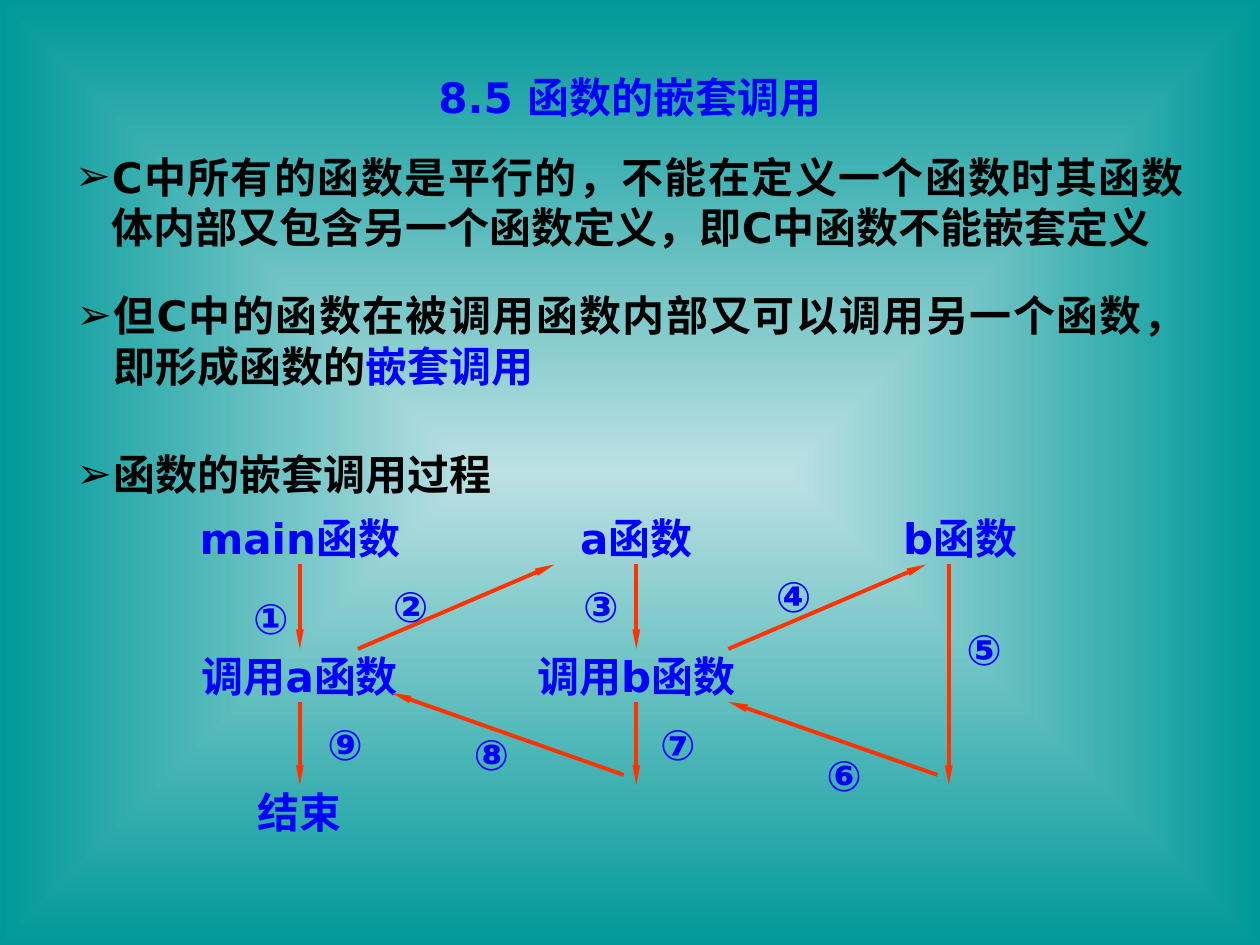
from dataclasses import dataclass

from lxml.etree import SubElement
from pptx import Presentation
from pptx.dml.color import RGBColor
from pptx.enum.shapes import MSO_CONNECTOR
from pptx.enum.text import MSO_ANCHOR, PP_ALIGN
from pptx.oxml.ns import qn
from pptx.util import Inches, Pt


@dataclass(frozen=True)
class Theme:
    font: str = "DejaVu Sans"
    size: int = 24
    line_width: float = 2.25
    ink: RGBColor = RGBColor(0x00, 0x00, 0x00)
    accent: RGBColor = RGBColor(0x00, 0x00, 0xFF)
    arrow: RGBColor = RGBColor(0xFF, 0x33, 0x00)
    center: RGBColor = RGBColor(0xBB, 0xE0, 0xE3)
    edge: RGBColor = RGBColor(0x00, 0x99, 0x99)


THEME = Theme()
TITLE = "8.5 函数的嵌套调用"

# (left, top, height, [(text, colour), ...])
BULLETS = [
    (0.5, 1.15, 0.9, [("C中所有的函数是平行的，不能在定义一个函数时其函数体内部又包含"
                       "另一个函数定义，即C中函数不能嵌套定义", THEME.ink)]),
    (0.51, 2.25, 0.9, [("但C中的函数在被调用函数内部又可以调用另一个函数，即形成函数的", THEME.ink),
                       ("嵌套调用", THEME.accent)]),
    (0.51, 3.51, 0.5, [("函数的嵌套调用过程", THEME.ink)]),
]
INDENT = 0.29

# Diagram grid: label centres by column, label tops by row
MAIN, A, B = 2.38, 5.05, 7.62
B_LINE = 7.53
LABEL_WIDTH, LABEL_HEIGHT = 2.2, 0.42
ROW_TOPS = [4.06, 5.15, 6.23]
ROW_BOTTOMS = [top + LABEL_HEIGHT for top in ROW_TOPS]
RETURN_START = ROW_TOPS[2] - 0.08

# (column centre, row, text)
LABELS = [
    (MAIN, 0, "main函数"), (A, 0, "a函数"), (B, 0, "b函数"),
    (MAIN, 1, "调用a函数"), (A, 1, "调用b函数"),
    (MAIN, 2, "结束"),
]

# In calling order: (start, end, number, number's centre and top)
STEPS = [
    ((MAIN, ROW_BOTTOMS[0]), (MAIN, ROW_TOPS[1]), "①", (2.15, 4.65)),
    ((2.84, ROW_TOPS[1]), (4.4, ROW_BOTTOMS[0]), "②", (3.26, 4.56)),
    ((A, ROW_BOTTOMS[0]), (A, ROW_TOPS[1]), "③", (4.77, 4.56)),
    ((5.78, ROW_TOPS[1]), (7.35, ROW_BOTTOMS[0]), "④", (6.3, 4.48)),
    ((B_LINE, ROW_BOTTOMS[0]), (B_LINE, ROW_TOPS[2]), "⑤", (7.81, 4.9)),
    ((7.44, RETURN_START), (5.78, ROW_BOTTOMS[1]), "⑥", (6.7, 5.9)),
    ((A, ROW_BOTTOMS[1]), (A, ROW_TOPS[2]), "⑦", (5.38, 5.65)),
    ((4.95, RETURN_START), (3.11, 5.5), "⑧", (3.9, 5.73)),
    ((MAIN, ROW_BOTTOMS[1]), (MAIN, ROW_TOPS[2]), "⑨", (2.74, 5.65)),
]
NUMBER_WIDTH, NUMBER_HEIGHT = 0.55, 0.5


def paint_background(slide):
    """Rectangular gradient running from the slide's centre to its edges."""
    fill = slide.background.fill
    fill.gradient()
    for stop, color, position in zip(fill.gradient_stops, (THEME.center, THEME.edge), (0, 1)):
        stop.color.rgb = color
        stop.position = position
    gradient = next(slide.element.iter(qn("a:gradFill")))
    gradient.remove(gradient.find(qn("a:lin")))
    shade = SubElement(gradient, qn("a:path"), path="rect")
    SubElement(shade, qn("a:fillToRect"), l="50000", t="50000", r="50000", b="50000")


def format_run(run, color):
    font = run.font
    font.name, font.size, font.bold = THEME.font, Pt(THEME.size), True
    font.color.rgb = color
    SubElement(font._element, qn("a:ea"), typeface=THEME.font)


def add_text(slide, box, runs, align=PP_ALIGN.CENTER, anchor=MSO_ANCHOR.TOP):
    frame = slide.shapes.add_textbox(*map(Inches, box)).text_frame
    frame.word_wrap, frame.vertical_anchor = True, anchor
    paragraph = frame.paragraphs[0]
    paragraph.alignment = align
    for text, color in runs:
        run = paragraph.add_run()
        run.text = text
        format_run(run, color)
    return paragraph


def add_bullet(paragraph):
    properties = paragraph._p.get_or_add_pPr()
    properties.set("marL", str(Inches(INDENT)))
    properties.set("indent", str(-Inches(INDENT)))
    color = SubElement(properties, qn("a:buClr"))
    SubElement(color, qn("a:srgbClr"), val=str(THEME.ink))
    SubElement(properties, qn("a:buFont"), typeface=THEME.font)
    SubElement(properties, qn("a:buChar"), char="➢")


def add_arrow(slide, start, end):
    arrow = slide.shapes.add_connector(MSO_CONNECTOR.STRAIGHT, *map(Inches, start + end))
    arrow.line.color.rgb = THEME.arrow
    arrow.line.width = Pt(THEME.line_width)
    SubElement(arrow.line._get_or_add_ln(), qn("a:tailEnd"), type="triangle", w="sm", len="lg")
    SubElement(arrow._element.spPr, qn("a:effectLst"))


def main():
    presentation = Presentation()
    presentation.slide_width, presentation.slide_height = Inches(10), Inches(7.5)
    slide = presentation.slides.add_slide(presentation.slide_layouts[5])
    paint_background(slide)

    title = slide.shapes.title
    title.left, title.top, title.width, title.height = map(Inches, (0.5, 0.52, 9, 0.5))
    title.text_frame.text = TITLE
    title.text_frame.vertical_anchor = MSO_ANCHOR.MIDDLE
    title.text_frame.paragraphs[0].alignment = PP_ALIGN.CENTER
    format_run(title.text_frame.paragraphs[0].runs[0], THEME.accent)

    for left, top, height, runs in BULLETS:
        add_bullet(add_text(slide, (left, top, 9, height), runs, PP_ALIGN.JUSTIFY))

    for center, row, text in LABELS:
        box = (center - LABEL_WIDTH / 2, ROW_TOPS[row], LABEL_WIDTH, LABEL_HEIGHT)
        add_text(slide, box, [(text, THEME.accent)], anchor=MSO_ANCHOR.MIDDLE)

    for start, end, number, (center, top) in STEPS:
        add_arrow(slide, start, end)
        box = (center - NUMBER_WIDTH / 2, top, NUMBER_WIDTH, NUMBER_HEIGHT)
        add_text(slide, box, [(number, THEME.accent)])

    presentation.save("out.pptx")


if __name__ == "__main__":
    main()
